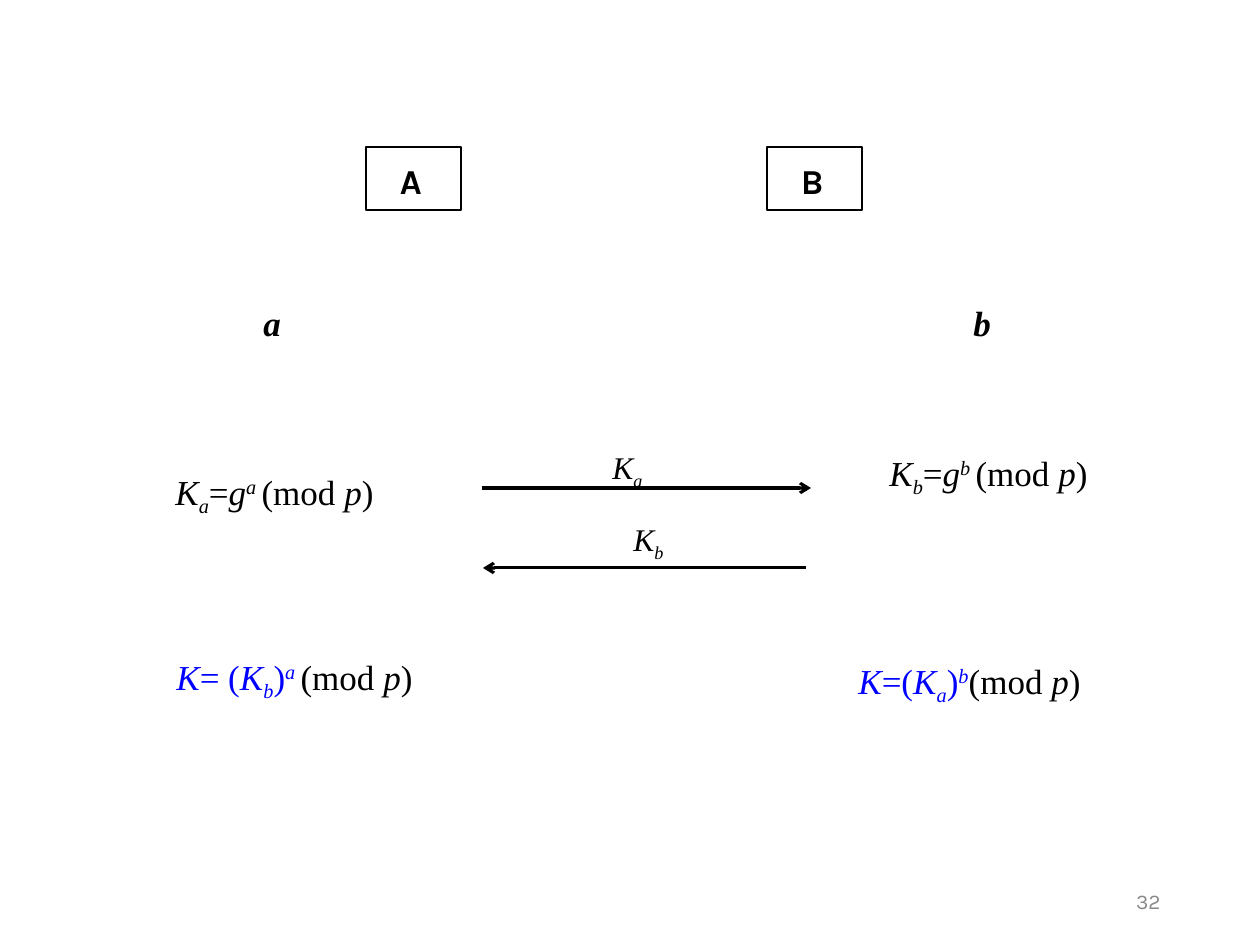
from lxml.etree import SubElement
from pptx import Presentation
from pptx.dml.color import RGBColor
from pptx.enum.shapes import MSO_CONNECTOR, MSO_SHAPE
from pptx.enum.text import MSO_ANCHOR, MSO_AUTO_SIZE, PP_ALIGN
from pptx.oxml.ns import qn
from pptx.util import Emu, Pt

PX = 914400 // 126
SERIF, SANS = "Times New Roman", "Karla"
BLACK, BLUE, GREY = "000000", "0000FF", "898989"
BASELINE = {"_": "-25000", "^": "30000"}

# Run marks: i italic, b bold, _ subscript, ^ superscript, k blue
MOD_P = [("(mod ", ""), ("p", "i"), (")", "")]


def public_key(x):
    return [("K", "i"), (x, "i_"), ("=", ""), ("g", "i"), (x + " ", "i^"), *MOD_P]


def shared_key(equals, other, own):
    return [("K", "ik"), (equals, "k"), ("K", "ik"), (other, "i_k"),
            (")", "k"), (own, "i^k"), *MOD_P]


PARTIES = [("A", 366), ("B", 767)]
PARTY_TOP, PARTY_W, PARTY_H = 147, 95, 63

# left, top, width, height, size, runs
FORMULAS = [
    (251, 295, 43, 55, 20, [("a", "bi")]),
    (961, 295, 43, 55, 20, [("b", "bi")]),
    (163, 464, 226, 60, 20, public_key("a")),
    (877, 445, 226, 60, 20, public_key("b")),
    (164, 649, 264, 60, 20, shared_key("= (", "b", "a ")),
    (846, 653, 252, 60, 20, shared_key("=(", "a", "b")),
    (600, 442, 55, 55, 18, [("K", "i"), ("a", "i_")]),
    (621, 514, 55, 55, 18, [("K", "i"), ("b", "i_")]),
]
ARROWS = [(482, 811, 488), (806, 483, 568)]  # from x, to x, y


def px(n):
    return Emu(n * PX)


def rgb(color):
    return RGBColor.from_string(color)


def set_font(font, name, size, color):
    font.name, font.size = name, Pt(size)
    font.color.rgb = rgb(color)


def add_text(slide, box, size, runs):
    sp = slide.shapes.add_textbox(*map(px, box))
    tf = sp.text_frame
    tf.word_wrap = False
    tf.auto_size = MSO_AUTO_SIZE.SHAPE_TO_FIT_TEXT
    p = tf.paragraphs[0]
    set_font(p.font, SERIF, size, BLACK)
    for text, marks in runs:
        r = p.add_run()
        r.text = text
        r.font.italic = "i" in marks
        r.font.bold = "b" in marks
        if "k" in marks:
            r.font.color.rgb = rgb(BLUE)
        for mark in BASELINE.keys() & set(marks):
            r._r.get_or_add_rPr().set("baseline", BASELINE[mark])


def add_party(slide, name, left):
    sp = slide.shapes.add_shape(MSO_SHAPE.RECTANGLE, px(left), px(PARTY_TOP),
                                px(PARTY_W), px(PARTY_H))
    sp.shadow.inherit = False
    sp.fill.background()
    sp.line.color.rgb = rgb(BLACK)
    sp.line.width = Pt(1)
    tf = sp.text_frame
    tf.vertical_anchor = MSO_ANCHOR.TOP
    tf.margin_left, tf.margin_top = px(34), px(13)
    p = tf.paragraphs[0]
    p.text, p.alignment = name, PP_ALIGN.LEFT
    set_font(p.font, SANS, 20, BLACK)
    p.font.bold = True


def add_arrow(slide, x1, x2, y):
    line = slide.shapes.add_connector(MSO_CONNECTOR.STRAIGHT,
                                      px(x1), px(y), px(x2), px(y))
    line.line.color.rgb = rgb(BLACK)
    line.line.width = Pt(1.75)
    SubElement(line.line._get_or_add_ln(), qn("a:tailEnd"), type="arrow")
    SubElement(line._element.spPr, qn("a:effectLst"))


def add_page_number(slide, number):
    sp = slide.shapes.add_textbox(px(890), px(876), px(283), px(50))
    tf = sp.text_frame
    tf.word_wrap = True
    tf.vertical_anchor = MSO_ANCHOR.MIDDLE
    p = tf.paragraphs[0]
    p.text, p.alignment = number, PP_ALIGN.RIGHT
    set_font(p.font, SANS, 12, GREY)


def main():
    prs = Presentation()
    prs.slide_width, prs.slide_height = px(1260), px(945)
    slide = prs.slides.add_slide(prs.slide_layouts[6])
    add_page_number(slide, "32")
    for name, left in PARTIES:
        add_party(slide, name, left)
    for arrow in ARROWS:
        add_arrow(slide, *arrow)
    for *box, size, runs in FORMULAS:
        add_text(slide, box, size, runs)
    prs.save("out.pptx")


if __name__ == "__main__":
    main()
